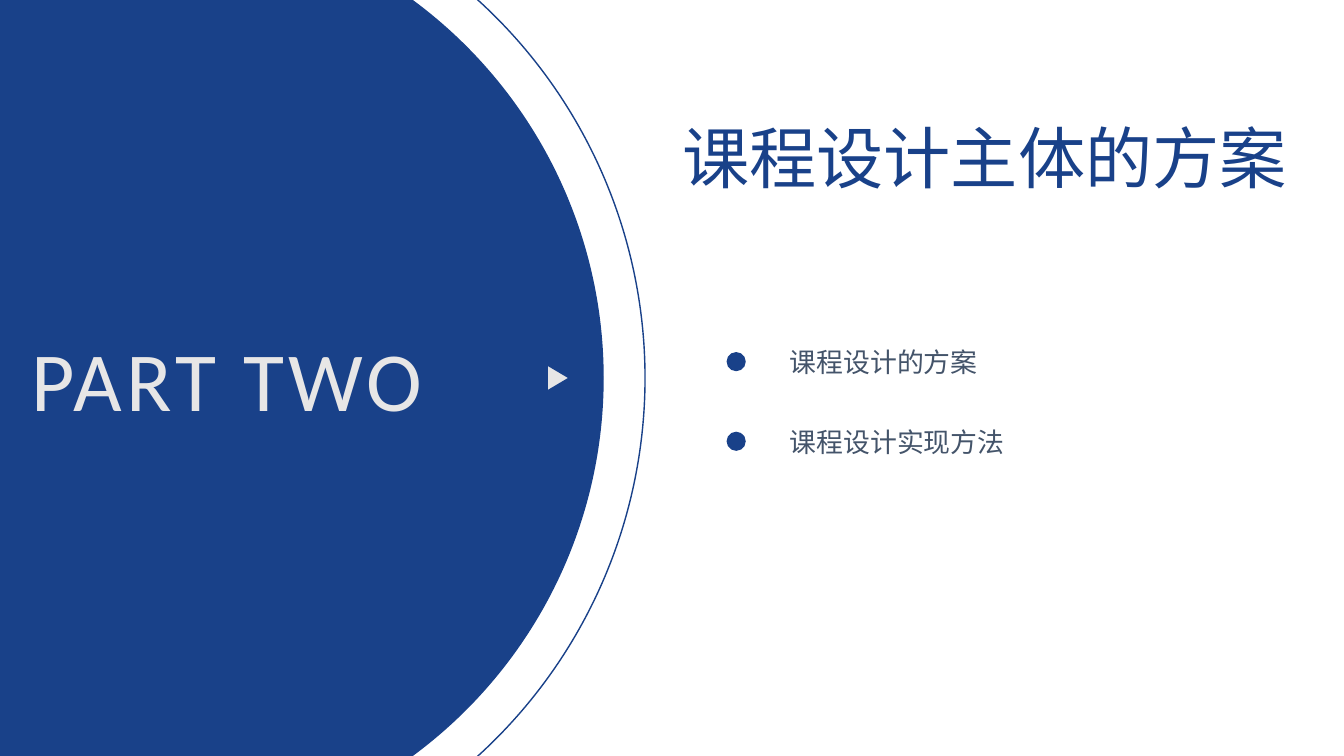
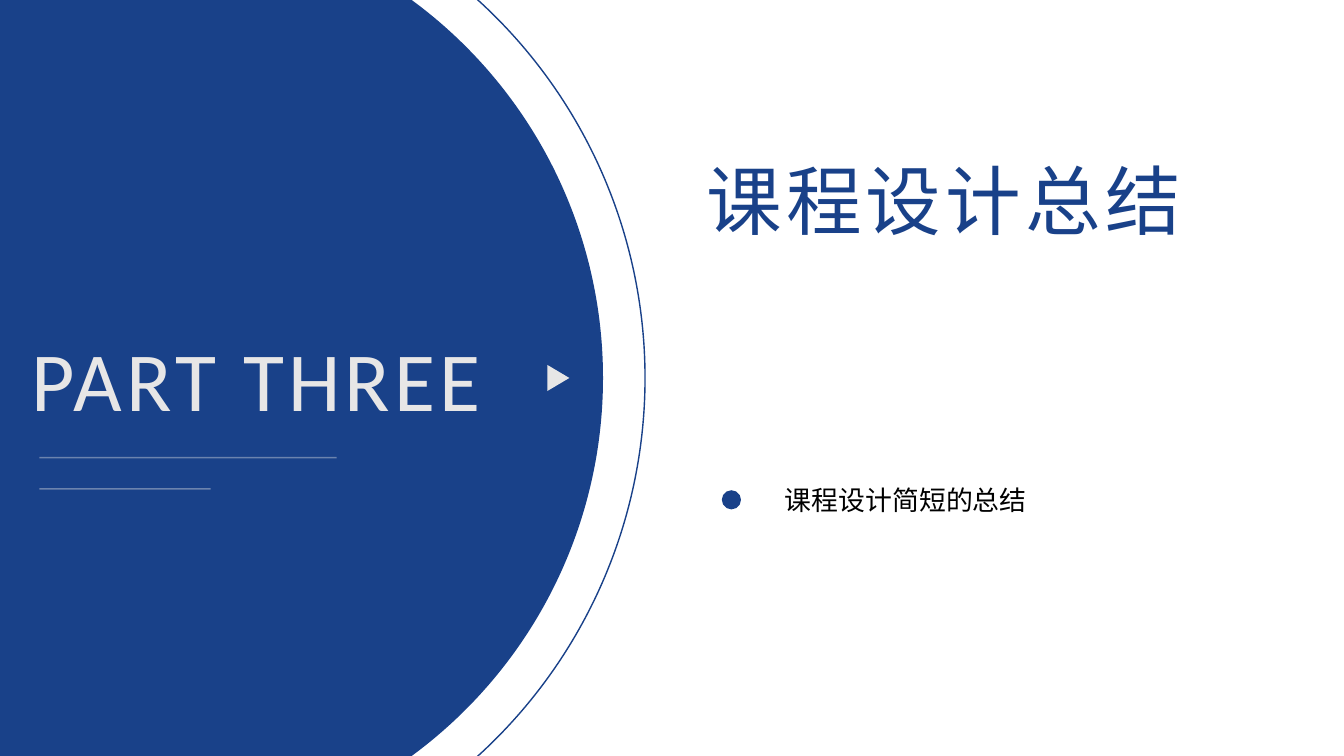
"""Build two section-divider slides that share a large disc, a ring and a part label."""
from lxml.etree import SubElement
from pptx import Presentation
from pptx.dml.color import RGBColor
from pptx.enum.shapes import MSO_CONNECTOR as CONNECTOR, MSO_SHAPE as SHAPE
from pptx.enum.text import MSO_ANCHOR as ANCHOR
from pptx.oxml.ns import qn
from pptx.util import Pt

COLORS = {"blue": "194189", "light": "E7E6E6", "slate": "44546A", "black": "000000"}
LATIN, CHINESE = "Calibri", "Noto Sans CJK SC"

SECTIONS = [
    {
        "part": "PART TWO",
        "title": "课程设计主体的方案",
        "title_box": (480.2, 79.2, 458, 65.5),
        "title_size": 48,
        "title_spacing": 0,
        "topics": ["课程设计的方案", "课程设计实现方法"],
        "topic_color": "slate",
        "topics_at": (519, 258.3),
        "outline": "blue",
        "rules": [],
    },
    {
        "part": "PART THREE",
        "title": "课程设计总结",
        "title_box": (497.5, 105.8, 460, 72.7),
        "title_size": 54,
        "title_spacing": 3,
        "topics": ["课程设计简短的总结"],
        "topic_color": "black",
        "topics_at": (515.6, 357),
        "outline": None,
        "rules": [(240.5, 326.9), (150.5, 349.2)],
    },
]

CENTER_X, CENTER_Y = 95.75, 270
DISC_RADIUS, RING_RADIUS = 335, 365
PART_BOX = (15.8, 229.7, 391, 80)
RULE_LEFT = 28.1
ARROW_X, ARROW_Y, ARROW_WIDTH, ARROW_HEIGHT = 398.8, 270, 18.7, 15.8
DOT_SIZE, TOPIC_INDENT, TOPIC_PITCH = 13.7, 45, 56.9
TOPIC_WIDTH, TOPIC_HEIGHT = 214, 23


def rgb(name):
    return RGBColor.from_string(COLORS[name])


def add_shape(slide, kind, center_x, center_y, width, height, fill=None, line=None):
    shape = slide.shapes.add_shape(
        kind, Pt(center_x - width / 2), Pt(center_y - height / 2), Pt(width), Pt(height))
    shape.shadow.inherit = False
    if fill:
        shape.fill.solid()
        shape.fill.fore_color.rgb = rgb(fill)
    else:
        shape.fill.background()
    if line:
        shape.line.color.rgb = rgb(line)
        shape.line.width = Pt(1)
    else:
        shape.line.fill.background()
    return shape


def add_text(slide, box, text, size, font, color, spacing=0, inset=True):
    frame = slide.shapes.add_textbox(*map(Pt, box)).text_frame
    frame.word_wrap = True
    frame.vertical_anchor = ANCHOR.MIDDLE
    if not inset:
        frame.margin_left = frame.margin_right = frame.margin_top = frame.margin_bottom = 0
    run = frame.paragraphs[0].add_run()
    run.text = text
    run.font.size = Pt(size)
    run.font.name = font
    run.font.color.rgb = rgb(color)
    properties = run.font._element if hasattr(run.font, "_element") else run._r.get_or_add_rPr()
    if spacing:
        properties.set("spc", str(spacing * 100))
    SubElement(properties, qn("a:ea"), typeface=font)


def add_rule(slide, width, y):
    rule = slide.shapes.add_connector(
        CONNECTOR.STRAIGHT, Pt(RULE_LEFT + width - RULE_LEFT), Pt(y), Pt(RULE_LEFT), Pt(y))
    rule.line.color.rgb = rgb("light")
    rule.line.width = Pt(1)
    color = rule.line._ln.find(".//" + qn("a:srgbClr"))
    SubElement(color, qn("a:alpha"), val="40000")
    SubElement(rule._element.spPr, qn("a:effectLst"))


def add_topics(slide, topics, left, center_y, color):
    for index, topic in enumerate(topics):
        y = center_y + index * TOPIC_PITCH
        add_shape(slide, SHAPE.OVAL, left + DOT_SIZE / 2, y, DOT_SIZE, DOT_SIZE, "blue")
        box = (left + TOPIC_INDENT, y - TOPIC_HEIGHT / 2, TOPIC_WIDTH, TOPIC_HEIGHT)
        add_text(slide, box, topic, 19.2, CHINESE, color, inset=False)


def add_section(presentation, section):
    slide = presentation.slides.add_slide(presentation.slide_layouts[6])
    outline = section["outline"]
    for radius, fill, line in ((DISC_RADIUS, "blue", outline), (RING_RADIUS, None, "blue")):
        add_shape(slide, SHAPE.OVAL, CENTER_X, CENTER_Y, 2 * radius, 2 * radius, fill, line)
    add_text(slide, PART_BOX, section["part"], 60, LATIN, "light", spacing=3)
    for right, y in section["rules"]:
        add_rule(slide, right, y)
    arrow = add_shape(slide, SHAPE.ISOSCELES_TRIANGLE, ARROW_X, ARROW_Y,
                      ARROW_WIDTH, ARROW_HEIGHT, "light", outline)
    arrow.rotation = 90
    add_text(slide, section["title_box"], section["title"], section["title_size"],
             CHINESE, "blue", section["title_spacing"])
    add_topics(slide, section["topics"], *section["topics_at"], section["topic_color"])


def main():
    presentation = Presentation()
    presentation.slide_width, presentation.slide_height = Pt(960), Pt(540)
    for section in SECTIONS:
        add_section(presentation, section)
    presentation.save("out.pptx")


if __name__ == "__main__":
    main()
